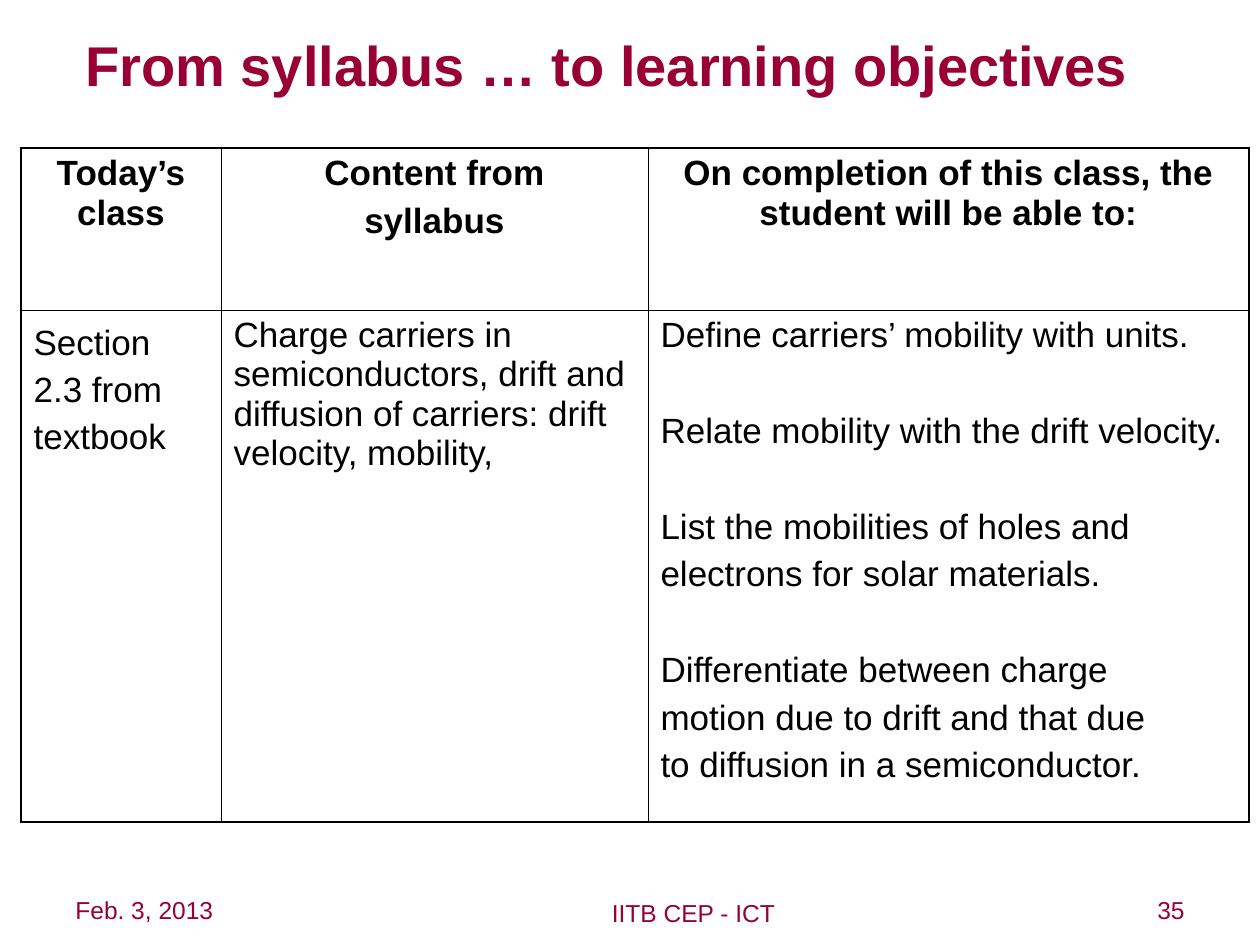
"""Build a slide that maps a syllabus topic to its learning objectives."""
from lxml.etree import SubElement
from pptx import Presentation
from pptx.dml.color import RGBColor
from pptx.enum.text import PP_ALIGN
from pptx.oxml.ns import qn
from pptx.util import Emu, Pt

SCALE = 914400 / 126
WINE = RGBColor(0x99, 0x00, 0x33)
BLACK = RGBColor(0, 0, 0)
LEFT, MID, RIGHT = PP_ALIGN.LEFT, PP_ALIGN.CENTER, PP_ALIGN.RIGHT
THICK, THIN = 1.08, 0.45

TITLE = {"size": Pt(32), "bold": True}
FOOT = {"size": Pt(14), "bold": False}
HEAD = {"size": Pt(20), "bold": True}
BODY = {"size": Pt(20), "bold": False}

TIGHT = {"space_before": Pt(5)}
APART = {"space_before": Pt(32.3)}
LOOSE = {"line_spacing": 1.2}

LABELS = [
    ((73, 24, 1092, 81), "From syllabus … to learning objectives", LEFT, TITLE),
    ((494, 892, 399, 55), "IITB CEP - ICT", MID, FOOT),
    ((1018, 889, 179, 55), "35", RIGHT, FOOT),
    ((63, 889, 294, 55), "Feb. 3, 2013", LEFT, FOOT),
]
COLS = [200, 427, 601]
ROWS = [162, 512]
HEADS = [
    [("Today’s class", TIGHT)],
    [("Content from", TIGHT), ("syllabus", TIGHT)],
    [("On completion of this class, the student will be able to:", TIGHT)],
]
TOPICS = [
    [("Section", LOOSE), ("2.3 from", LOOSE), ("textbook", LOOSE)],
    [("Charge carriers in semiconductors, drift and diffusion of carriers: "
      "drift velocity, mobility,", {})],
    [("Define carriers’ mobility with units.", TIGHT),
     ("Relate mobility with the drift velocity.", APART),
     ("List the mobilities of holes and", APART),
     ("electrons for solar materials.", TIGHT),
     ("Differentiate between charge", APART),
     ("motion due to drift and that due", TIGHT),
     ("to diffusion in a semiconductor.", TIGHT)],
]


def px(num):
    return Emu(round(num * SCALE))


def apply(item, look):
    for name, value in look.items():
        setattr(item, name, value)


def write(frame, lines, align, look, color):
    frame.word_wrap = True
    for i, (text, gaps) in enumerate(lines):
        para = frame.add_paragraph() if i else frame.paragraphs[0]
        apply(para, {"alignment": align, **gaps})
        run = para.add_run()
        run.text = text
        apply(run.font, {"name": "Arial", **look})
        run.font.color.rgb = color


def add_label(slide, box, text, align, look):
    shape = slide.shapes.add_textbox(*map(px, box))
    write(shape.text_frame, [(text, {})], align, look, WINE)


def rule(cell, sides):
    props = cell._tc.get_or_add_tcPr()
    for i, (side, outer) in enumerate(sides.items()):
        width = Pt(THICK if outer else THIN)
        line = SubElement(props, qn("a:ln" + side), w=str(width))
        fill = SubElement(line, qn("a:solidFill"))
        SubElement(fill, qn("a:srgbClr"), val=str(BLACK))
        props.insert(i, line)


def add_grid(slide, left, top, rows):
    box = map(px, (left, top, sum(COLS), sum(ROWS)))
    table = slide.shapes.add_table(len(ROWS), len(COLS), *box).table
    apply(table, {"first_row": False, "horz_banding": False})
    for col, width in zip(table.columns, COLS):
        col.width = px(width)
    for r, (high, (cells, align, look)) in enumerate(zip(ROWS, rows)):
        table.rows[r].height = px(high)
        for c, lines in enumerate(cells):
            cell = table.cell(r, c)
            cell.fill.background()
            rule(cell, {"L": c == 0, "R": c == len(COLS) - 1,
                        "T": r == 0, "B": r == len(ROWS) - 1})
            write(cell.text_frame, lines, align, look, BLACK)


def main():
    deck = Presentation()
    apply(deck, {"slide_width": px(1260), "slide_height": px(945)})
    slide = deck.slides.add_slide(deck.slide_layouts[6])
    add_grid(slide, 21, 148, [(HEADS, MID, HEAD), (TOPICS, LEFT, BODY)])
    for label in LABELS:
        add_label(slide, *label)
    deck.save("out.pptx")


if __name__ == "__main__":
    main()
